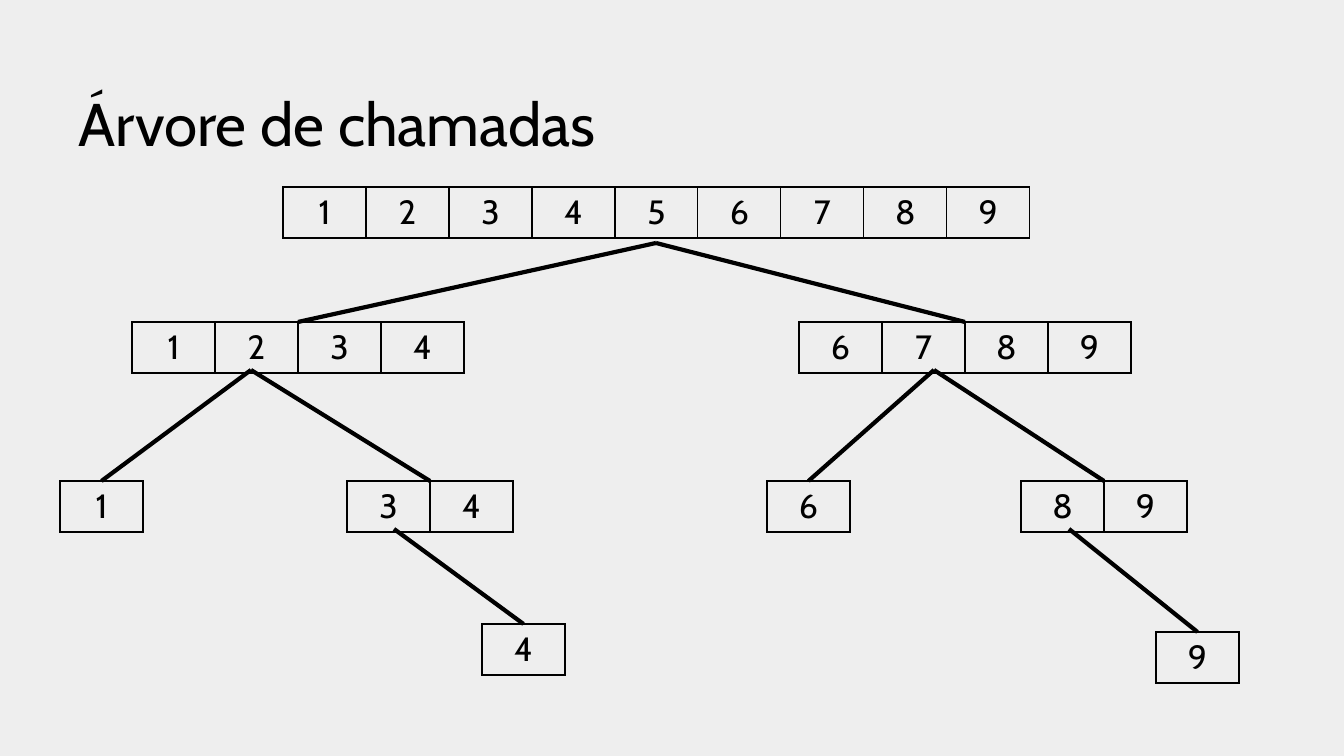
from dataclasses import dataclass

from pptx import Presentation
from pptx.dml.color import RGBColor
from pptx.enum.shapes import MSO_CONNECTOR
from pptx.enum.text import MSO_ANCHOR, PP_ALIGN
from pptx.oxml.ns import qn
from pptx.util import Pt
from lxml import etree

STRAIGHT = MSO_CONNECTOR.STRAIGHT
BOTTOM, MIDDLE = MSO_ANCHOR.BOTTOM, MSO_ANCHOR.MIDDLE
LEFT, CENTER = PP_ALIGN.LEFT, PP_ALIGN.CENTER
BLANK_LAYOUT = 6
EMU_PER_PX = 914400 / 100.8
CELL_WIDTH, CELL_HEIGHT = 83, 51


@dataclass(frozen=True)
class Theme:
    font: str = "Cabin"
    ink: str = "000000"
    background: str = "EEEEEE"
    title_size: int = 43
    cell_size: int = 24
    border_width: int = 1
    branch_width: int = 3


THEME = Theme()

# Each call: name -> (left, top, values of its part of the list)
CALLS = {
    "root": (283, 187, range(1, 10)),
    "left": (132, 322, range(1, 5)),
    "right": (799, 322, range(6, 10)),
    "one": (60, 481, [1]),
    "three_four": (347, 481, [3, 4]),
    "six": (767, 481, [6]),
    "eight_nine": (1021, 481, [8, 9]),
    "four": (482, 624, [4]),
    "nine": (1156, 632, [9]),
}

# Each fork: (x, y, calls that it leads to)
FORKS = [
    (656, 243, ["left", "right"]),
    (251, 370, ["one", "three_four"]),
    (934, 370, ["six", "eight_nine"]),
    (394, 529, ["four"]),
    (1069, 529, ["nine"]),
]


def px(length):
    return round(length * EMU_PER_PX)


def color(value):
    return RGBColor.from_string(value)


def write_text(frame, text, *, size, align=LEFT):
    para = frame.paragraphs[0]
    para.alignment = align
    span = para.add_run()
    span.text = text
    span.font.name = THEME.font
    span.font.size = Pt(size)
    span.font.color.rgb = color(THEME.ink)


def add_title(page, text):
    box = page.shapes.add_textbox(px(67), px(39), px(1210), px(126))
    frame = box.text_frame
    frame.word_wrap = True
    frame.vertical_anchor = BOTTOM
    frame.margin_left = frame.margin_right = px(12)
    frame.margin_top = frame.margin_bottom = px(6)
    write_text(frame, text, size=THEME.title_size)


def add_borders(cell):
    properties = cell._tc.get_or_add_tcPr()
    for index, side in enumerate(("a:lnL", "a:lnR", "a:lnT", "a:lnB")):
        line = etree.Element(qn(side), w=str(Pt(THEME.border_width)))
        fill = etree.SubElement(line, qn("a:solidFill"))
        etree.SubElement(fill, qn("a:srgbClr"), val=THEME.ink)
        properties.insert(index, line)


def add_call(page, left, top, values):
    width = CELL_WIDTH * len(values)
    table = page.shapes.add_table(
        1, len(values), px(left), px(top), px(width), px(CELL_HEIGHT)
    ).table
    table.first_row = table.horz_banding = False
    for column, value in enumerate(values):
        table.columns[column].width = px(CELL_WIDTH)
        cell = table.cell(0, column)
        cell.fill.background()
        cell.vertical_anchor = MIDDLE
        add_borders(cell)
        write_text(cell.text_frame, str(value), size=THEME.cell_size, align=CENTER)


def add_branch(page, x, y, call):
    left, top, values = CALLS[call]
    middle = left + CELL_WIDTH * len(values) / 2
    branch = page.shapes.add_connector(STRAIGHT, px(x), px(y), px(middle), px(top))
    branch.line.color.rgb = color(THEME.ink)
    branch.line.width = Pt(THEME.branch_width)
    etree.SubElement(branch._element.spPr, qn("a:effectLst"))


def main():
    deck = Presentation()
    deck.slide_width, deck.slide_height = px(1344), px(756)
    page = deck.slides.add_slide(deck.slide_layouts[BLANK_LAYOUT])
    page.background.fill.solid()
    page.background.fill.fore_color.rgb = color(THEME.background)

    # Lists handled by each call
    for left, top, values in CALLS.values():
        add_call(page, left, top, values)

    # Branches down to the middle of each child
    for x, y, children in FORKS:
        for child in children:
            add_branch(page, x, y, child)

    add_title(page, "Árvore de chamadas")
    deck.save("out.pptx")


if __name__ == "__main__":
    main()
